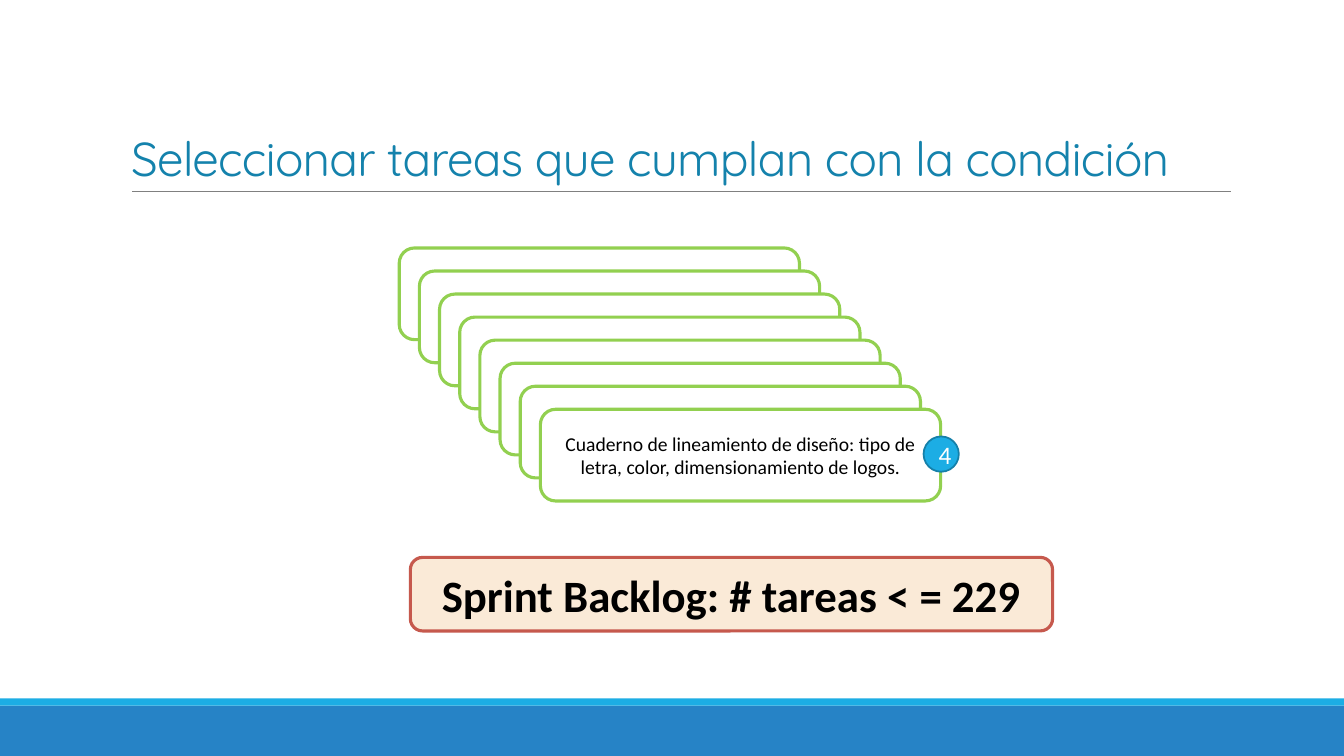
"""Build the slide on selecting the sprint backlog tasks that meet the condition."""
import pptx
import pptx.util
from pptx.dml.color import RGBColor
from pptx.enum.shapes import MSO_CONNECTOR, MSO_SHAPE
from pptx.enum.text import MSO_ANCHOR, MSO_AUTO_SIZE, PP_ALIGN
from pptx.oxml.ns import qn
from pptx.util import Inches, Pt

HEADING = "Seleccionar tareas que cumplan con la condición"
TASK = "Cuaderno de lineamiento de diseño: tipo de letra, color, dimensionamiento de logos."
TASK_POINTS = "4"
CONDITION = "Sprint Backlog: # tareas < = 229"

CARD_COUNT = 8
FIRST_CARD = (3.96, 2.46)
CARD_SIZE = (3.97, 0.91)
CARD_STEP = (0.2, 0.2286)

WHITE = RGBColor(0xFF, 0xFF, 0xFF)
BLACK = RGBColor(0, 0, 0)
GRAY = RGBColor(0x80, 0x80, 0x80)
GREEN = RGBColor(0x92, 0xD0, 0x50)
BLUE = RGBColor(0x26, 0x83, 0xC6)
CYAN = RGBColor(0x1C, 0xAD, 0xE4)
DARK_CYAN = RGBColor(0x15, 0x80, 0xA9)
TITLE_BLUE = RGBColor(0x14, 0x82, 0xAC)
PEACH = RGBColor(0xFA, 0xEA, 0xD7)
RED = RGBColor(0xC6, 0x59, 0x4D)


def add_block(shapes, preset, box, fill, outline=None, weight=2.25):
    """Add a filled shape without shadow, outlined when a colour is given."""
    block = shapes.add_shape(preset, *map(Inches, box))
    block.shadow.inherit = False
    block.fill.solid()
    block.fill.fore_color.rgb = fill
    if outline is None:
        block.line.fill.background()
    else:
        block.line.color.rgb = outline
        block.line.width = Pt(weight)
    return block


def write(block, text, size, color, bold=False):
    """Write centred text inside a shape."""
    frame = block.text_frame
    frame.text = text
    frame.word_wrap = True
    frame.vertical_anchor = MSO_ANCHOR.MIDDLE
    paragraph = frame.paragraphs[0]
    paragraph.alignment = PP_ALIGN.CENTER
    font = paragraph.runs[0].font
    font.name, font.size, font.bold = "Calibri", Pt(size), bold
    font.color.rgb = color


def add_heading(slide):
    """Format the title and draw the rule below it."""
    heading = slide.shapes.title
    heading.left, heading.top = Inches(1.2), Inches(0.31)
    heading.width, heading.height = Inches(11.35), Inches(1.59)
    frame = heading.text_frame
    frame.text = HEADING
    frame.word_wrap = True
    frame.auto_size = MSO_AUTO_SIZE.NONE
    frame.vertical_anchor = MSO_ANCHOR.BOTTOM
    paragraph = frame.paragraphs[0]
    paragraph.alignment = PP_ALIGN.LEFT
    paragraph.line_spacing = 0.85
    font = paragraph.runs[0].font
    font.name, font.size = "Quicksand", Pt(34)
    font.color.rgb = TITLE_BLUE
    paragraph.runs[0]._r.get_or_add_rPr().set("spc", "-50")

    rule = slide.shapes.add_connector(
        MSO_CONNECTOR.STRAIGHT, Inches(1.31), Inches(1.9), Inches(12.21), Inches(1.9))
    rule.line.color.rgb = GRAY
    rule.line.width = Pt(0.5)
    rule._element.spPr.append(rule._element.spPr.makeelement(qn("a:effectLst"), {}))


def add_task_stack(slide):
    """Stack the task cards diagonally, with the points badge on the front one."""
    stack = slide.shapes.add_group_shape().shapes
    for index in range(CARD_COUNT):
        corner = [start + index * step for start, step in zip(FIRST_CARD, CARD_STEP)]
        card = add_block(stack, MSO_SHAPE.ROUNDED_RECTANGLE, (*corner, *CARD_SIZE), WHITE, GREEN)
    write(card, TASK, 14, BLACK)
    badge = add_block(stack, MSO_SHAPE.OVAL, (9.16, 4.33, 0.35, 0.35), CYAN, DARK_CYAN, 1.25)
    write(badge, TASK_POINTS, 18, WHITE)


def main():
    """Assemble and save the slide."""
    deck = pptx.Presentation()
    deck.slide_width, deck.slide_height = Inches(13.33), Inches(7.5)
    slide = deck.slides.add_slide(deck.slide_layouts[5])
    add_block(slide.shapes, MSO_SHAPE.RECTANGLE, (0, 7, 13.33, 0.5), BLUE)
    add_block(slide.shapes, MSO_SHAPE.RECTANGLE, (0, 6.93, 13.33, 0.07), CYAN)
    add_heading(slide)
    add_task_stack(slide)
    condition = add_block(
        slide.shapes, MSO_SHAPE.ROUNDED_RECTANGLE, (4.07, 5.53, 6.37, 0.73), PEACH, RED)
    write(condition, CONDITION, 32, BLACK, bold=True)
    deck.save("out.pptx")


if __name__ == "__main__":
    main()
